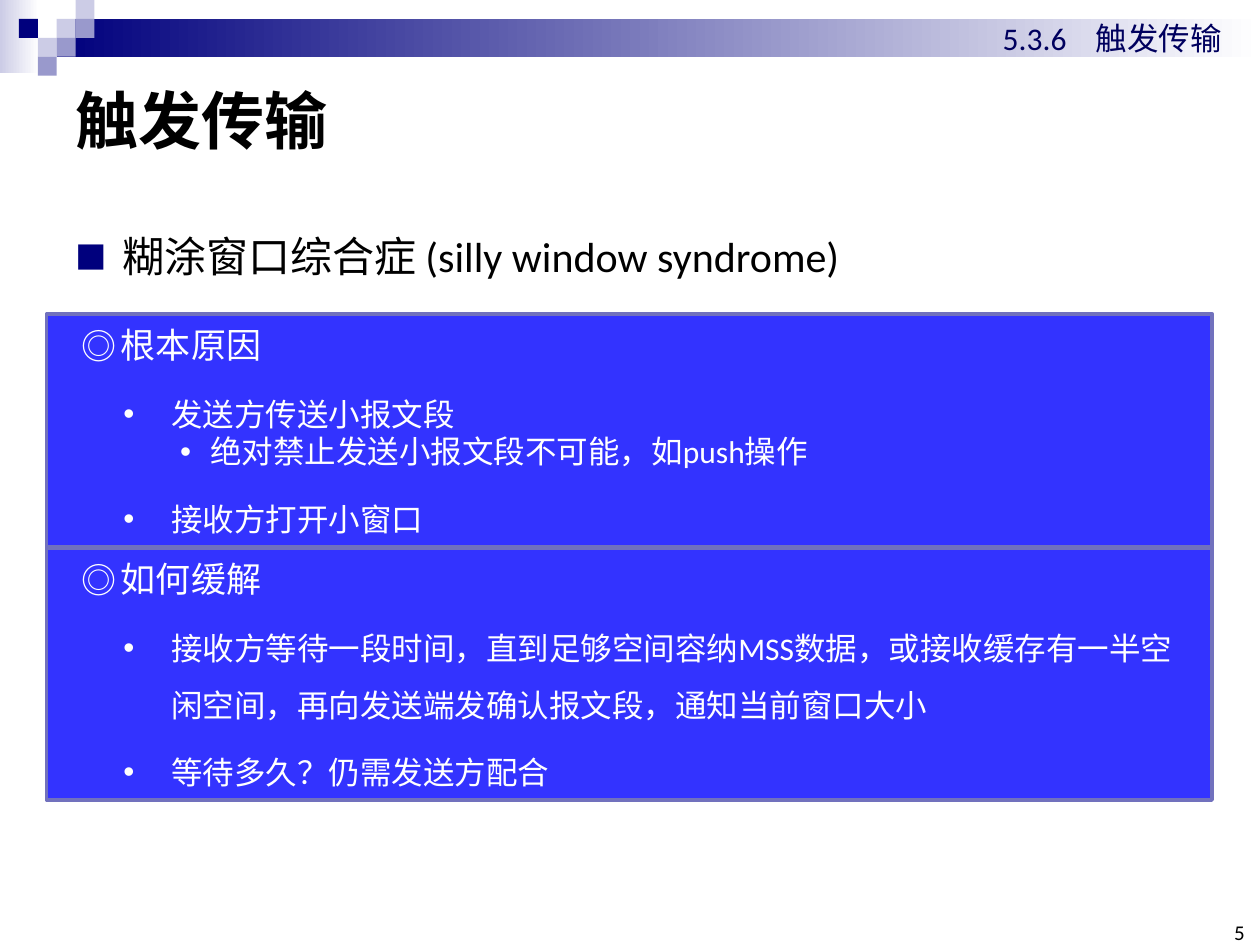
import pptx
import pptx.dml.color
import pptx.enum.shapes
import pptx.enum.text
import pptx.oxml.ns
import pptx.util
from lxml import etree

Inches = pptx.util.Inches
Pt = pptx.util.Pt
ALIGN = pptx.enum.text.PP_ALIGN
ANCHOR = pptx.enum.text.MSO_ANCHOR
qn = pptx.oxml.ns.qn

LATIN, CJK = "Calibri", "Noto Sans CJK SC"
NAVY, LILAC, VIOLET = "00007D", "CCCCE6", "9999CC"
BLACK, WHITE = "000000", "FFFFFF"


def rgb(value):
    return pptx.dml.color.RGBColor.from_string(value)


def add_child(parent, tag, **attributes):
    child = etree.SubElement(parent, qn(tag))
    for name, value in attributes.items():
        child.set(name, str(value))
    return child


def set_bullet(p_pr, char, color, percent):
    add_child(add_child(p_pr, "a:buClr"), "a:srgbClr", val=color)
    add_child(p_pr, "a:buSzPct", val=percent * 1000)
    add_child(p_pr, "a:buFont", typeface=CJK if char != "•" else "Arial")
    add_child(p_pr, "a:buChar", char=char)


def write(paragraph, text, size=18, color=BLACK, font=LATIN, bold=False,
          align=ALIGN.LEFT, level=0, indent=None, spacing=1.0, before=0,
          bullet=None, bullet_color=WHITE, bullet_percent=100, tab=None):
    """Fill one paragraph; indent is (left margin, first line) in inches."""
    p_pr = paragraph._p.get_or_add_pPr()
    if indent:
        p_pr.set("marL", str(Inches(indent[0])))
        p_pr.set("indent", str(Inches(indent[1])))
    if bullet:
        set_bullet(p_pr, bullet, bullet_color, bullet_percent)
    if tab:
        add_child(add_child(p_pr, "a:tabLst"), "a:tab", pos=Inches(tab), algn="l")
    paragraph.level = level
    paragraph.alignment = align
    paragraph.line_spacing = spacing
    paragraph.space_before = Pt(before)
    run = paragraph.add_run()
    run.text = text
    run.font.size = Pt(size)
    run.font.bold = bold
    run.font.name = font
    run.font.color.rgb = rgb(color)
    add_child(run._r.get_or_add_rPr(), "a:ea", typeface=CJK)


HEADING = dict(size=20, font=CJK, color=WHITE, indent=(0.31, -0.31), bullet="◎")
POINT = dict(color=WHITE, level=1, indent=(0.71, -0.38), spacing=1.5, before=6,
             bullet="•")
DETAIL = dict(color=WHITE, level=2, indent=(1.02, -0.24), bullet="•")


class SlideBuilder:
    def __init__(self, slide):
        self.shapes = slide.shapes

    def rect(self, left, top, width, height, fill, fade_to=None, line=None):
        box = self.shapes.add_shape(
            pptx.enum.shapes.MSO_SHAPE.RECTANGLE,
            Inches(left), Inches(top), Inches(width), Inches(height))
        box.shadow.inherit = False
        if fade_to:
            box.fill.gradient()
            box.fill.gradient_angle = 0
            for stop, color in zip(box.fill.gradient_stops, (fill, fade_to)):
                stop.color.rgb = rgb(color)
        else:
            box.fill.solid()
            box.fill.fore_color.rgb = rgb(fill)
        if line:
            box.line.color.rgb = rgb(line)
            box.line.width = Pt(2)
        else:
            box.line.fill.background()
        return box

    def text(self, left, top, width, height, text, anchor=ANCHOR.TOP,
             inset=True, **style):
        box = self.shapes.add_textbox(
            Inches(left), Inches(top), Inches(width), Inches(height))
        frame = box.text_frame
        frame.word_wrap = True
        frame.vertical_anchor = anchor
        if not inset:
            frame.margin_left = frame.margin_right = 0
            frame.margin_top = frame.margin_bottom = 0
        write(frame.paragraphs[0], text, **style)
        return box

    def panel(self, top, height, lines):
        """Blue outlined panel; lines holds (style, text) pairs."""
        box = self.rect(0.37, top, 9.25, height, "3333FF", line="7171BD")
        frame = box.text_frame
        frame.word_wrap = True
        frame.vertical_anchor = ANCHOR.MIDDLE
        frame.margin_left, frame.margin_right = Inches(0.28), Inches(0.1)
        frame.margin_top = frame.margin_bottom = 0
        for number, (style, text) in enumerate(lines):
            paragraph = frame.add_paragraph() if number else frame.paragraphs[0]
            write(paragraph, text, **style)

    def header(self):
        self.rect(0, 0, 0.31, 0.58, LILAC, fade_to=WHITE)
        self.rect(0.45, 0.15, 9.55, 0.3, NAVY, fade_to=WHITE)
        side = 0.15
        squares = [(3, 1, LILAC), (4, 0, LILAC), (4, 1, VIOLET), (2, 2, LILAC),
                   (1, 1, NAVY), (3, 2, VIOLET), (2, 3, VIOLET)]
        for column, row, color in squares:
            self.rect(column * side, row * side, side, side, color)


def main():
    deck = pptx.Presentation()
    deck.slide_width, deck.slide_height = Inches(10), Inches(7.5)
    builder = SlideBuilder(deck.slides.add_slide(deck.slide_layouts[6]))

    builder.header()
    builder.text(0.5, 1.58, 9.38, 5.75, "糊涂窗口综合症 (silly window syndrome)",
                 size=24, indent=(0.37, -0.37), spacing=1.5, bullet="■",
                 bullet_color=NAVY, bullet_percent=75)
    builder.panel(2.49, 1.85, [
        (HEADING, "根本原因"),
        (POINT, "发送方传送小报文段"),
        (DETAIL, "绝对禁止发送小报文段不可能，如push操作"),
        (POINT, "接收方打开小窗口"),
    ])
    builder.text(0.5, 0.5, 9, 0.89, "触发传输", anchor=ANCHOR.MIDDLE,
                 size=36, bold=True)
    builder.text(9.65, 7.33, 0.23, 0.17, "5", anchor=ANCHOR.BOTTOM,
                 inset=False, size=12, align=ALIGN.RIGHT)
    section = builder.text(7.86, 0.1, 2.03, 0.4, "5.3.6\t触发传输",
                           color="00005E", tab=0.74)
    section.text_frame.auto_size = pptx.enum.text.MSO_AUTO_SIZE.SHAPE_TO_FIT_TEXT
    builder.panel(4.35, 2, [
        (HEADING, "如何缓解"),
        (POINT, "接收方等待一段时间，直到足够空间容纳MSS数据，或接收缓存有一半空闲空间，"
                "再向发送端发确认报文段，通知当前窗口大小"),
        (POINT, "等待多久？仍需发送方配合"),
    ])
    deck.save("out.pptx")


if __name__ == "__main__":
    main()
